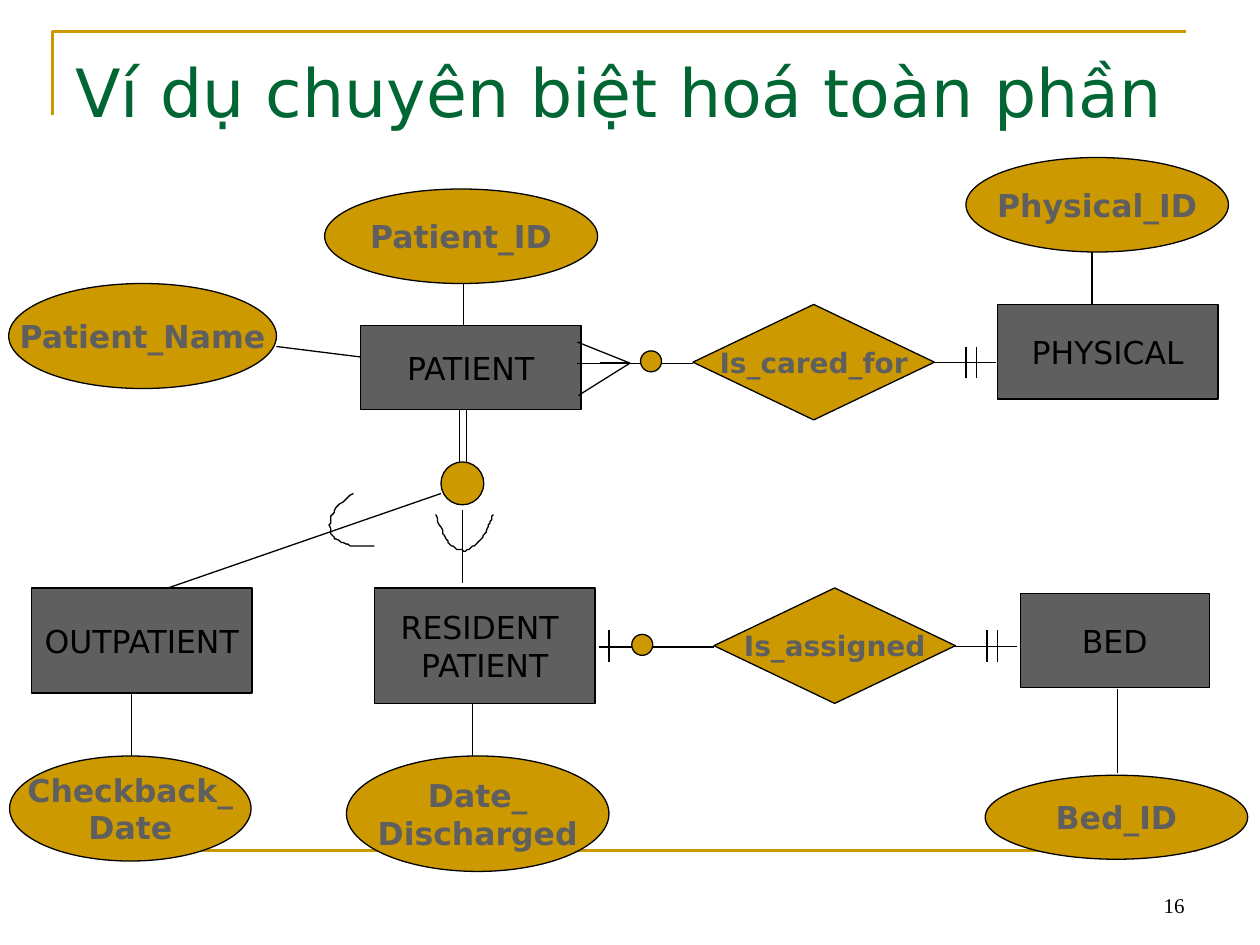
import pptx
import pptx.util
import pptx.dml.color
import pptx.enum.shapes
import pptx.enum.text
import pptx.oxml
import pptx.oxml.ns

Pt = pptx.util.Pt
SHAPES = pptx.enum.shapes.MSO_SHAPE
ALIGN = pptx.enum.text.PP_ALIGN
ANCHOR = pptx.enum.text.MSO_ANCHOR

GOLD, GRAY, BLACK, GREEN = "CC9900", "5F5F5F", "000000", "006633"
SANS, SERIF = "DejaVu Sans", "Times New Roman"

# Content: text, left, top, width, height
TITLE = ("Ví dụ chuyên biệt hoá toàn phần", 36, 21, 648, 62)
PAGE_NUMBER = ("16", 516, 492, 168, 36)
ENTITIES = [
    ("PATIENT", 206, 186, 126, 48),
    ("OUTPATIENT", 18, 336, 126, 60),
    ("RESIDENT \nPATIENT", 214, 336, 126, 66),
    ("BED", 583, 339, 108, 54),
    ("PHYSICAL", 570, 174, 126, 54),
]
ATTRIBUTES = [
    ("Patient_ID", 185.5, 108, 156, 54),
    ("Checkback_\nDate", 5.5, 432, 138, 60),
    ("Date_\nDischarged", 198, 432, 150, 66),
    ("Physical_ID", 552, 90, 150, 54),
    ("Patient_Name", 5, 162, 153, 60),
    ("Bed_ID", 563, 443, 150, 48),
]
RELATIONSHIPS = [
    ("Is_cared_for", 396, 174, 138, 66),
    ("Is_assigned", 408, 336, 138, 66),
]
CIRCLES = [(252, 264, 24.5), (366, 200.5, 12), (361, 362.5, 12)]

# Lines: x1, y1, x2, y2
ATTRIBUTE_LINES = [
    (265, 162, 265, 186), (158, 198, 206, 204), (75, 396, 75, 432),
    (270, 402, 270, 432), (624, 144, 624, 174), (638.5, 393.5, 638.5, 442),
]
SUBTYPE_LINES = [
    (262.5, 234, 262.5, 264), (266.5, 234, 266.5, 264),
    (252, 282, 96, 336), (264.5, 291.5, 264.5, 333),
]
RELATIONSHIP_LINES = [
    (330, 207.75, 396, 207.75), (533, 207, 569, 207),
    (342, 369.75, 408, 369.75), (545, 369.5, 581, 369.5),
]
CROW_FOOT = [(330, 195.5), (343, 207.5), (330.5, 226)]
CROW_TIP = (360, 207.5)
TICKS = [(552, 198), (558, 198), (564, 360), (570, 360), (348, 360)]
TICK_HEIGHT = 18

# Subtype arcs: a start point, then three points per cubic curve
ARCS = [
    [(201.5, 282), (196.5, 286), (191.5, 290), (190, 294),
     (188, 298), (188, 303), (190, 306), (191.5, 309), (198, 311),
     (201.5, 312), (206, 313), (211.5, 312), (213.5, 312)],
    [(249, 294.5), (251.5, 300), (253.5, 306.5), (256.5, 310),
     (259, 313), (263.5, 315), (267, 314.5), (270.5, 313), (275, 308.5),
     (277, 305), (279.5, 301.5), (280.5, 296), (281.5, 294)],
]
CORNER = [(30, 66), (30, 18), (678, 18)]
FOOTER_LINE = (36, 486, 684, 486)

deck = pptx.Presentation()
deck.slide_width, deck.slide_height = Pt(720), Pt(540)
page = deck.slides.add_slide(deck.slide_layouts[6])


def color(value):
    return pptx.dml.color.RGBColor.from_string(value)


def apply(target, values):
    for name, value in values.items():
        setattr(target, name, value)


def stroke(item, value=BLACK, width=0.75):
    item.line.color.rgb = color(value)
    item.line.width = Pt(width)


def write(box, text, size, value, font=SANS, bold=False,
          align=ALIGN.CENTER, anchor=ANCHOR.MIDDLE, wrap=False):
    frame = box.text_frame
    frame.text = text
    apply(frame, {"word_wrap": wrap, "vertical_anchor": anchor,
                  "margin_left": Pt(7.2), "margin_right": Pt(7.2),
                  "margin_top": Pt(3.6), "margin_bottom": Pt(3.6)})
    for para in frame.paragraphs:
        para.alignment = align
        for span in para.runs:
            apply(span.font, {"name": font, "size": Pt(size), "bold": bold})
            span.font.color.rgb = color(value)


def add_text(text, *place, **style):
    write(page.shapes.add_textbox(*map(Pt, place)), text, wrap=True, **style)


def add_node(kind, fill, *place):
    node = page.shapes.add_shape(kind, *map(Pt, place))
    node.shadow.inherit = False
    node.fill.solid()
    node.fill.fore_color.rgb = color(fill)
    stroke(node)
    return node


def add_line(*ends, **style):
    line = page.shapes.add_connector(
        pptx.enum.shapes.MSO_CONNECTOR.STRAIGHT, *map(Pt, ends))
    properties = line._element.spPr
    stroke(line, **style)
    properties.append(pptx.oxml.parse_xml(
        "<a:effectLst %s/>" % pptx.oxml.ns.nsdecls("a")))


def add_path(points, **style):
    builder = page.shapes.build_freeform(*points[0], scale=Pt(1))
    builder.add_line_segments(points[1:], close=False)
    outline = builder.convert_to_shape()
    outline.shadow.inherit = False
    outline.fill.background()
    stroke(outline, **style)


def trace_curve(points, steps=10):
    traced = [points[0]]
    for first in range(0, len(points) - 1, 3):
        control = points[first:first + 4]
        for step in range(1, steps + 1):
            t = step / steps
            weights = ((1 - t) ** 3, 3 * t * (1 - t) ** 2,
                       3 * t * t * (1 - t), t ** 3)
            traced.append(tuple(
                sum(w * point[axis] for w, point in zip(weights, control))
                for axis in (0, 1)))
    return traced


# Frame, title and page number
add_path(CORNER, value=GOLD, width=1.5)
add_line(*FOOTER_LINE, value=GOLD, width=1.5)
add_text(*PAGE_NUMBER, size=12, value=BLACK, font=SERIF,
         align=ALIGN.RIGHT, anchor=ANCHOR.BOTTOM)
add_text(*TITLE, size=38, value=GREEN, align=ALIGN.LEFT)

# Entities, attributes and relationships
for kind, fill, nodes, style in [
    (SHAPES.RECTANGLE, GRAY, ENTITIES, {"size": 18, "value": BLACK}),
    (SHAPES.OVAL, GOLD, ATTRIBUTES, {"size": 18, "value": GRAY, "bold": True}),
    (SHAPES.DIAMOND, GOLD, RELATIONSHIPS,
     {"size": 16, "value": GRAY, "bold": True}),
]:
    for text, *place in nodes:
        write(add_node(kind, fill, *place), text, **style)

# Connecting lines and cardinality marks
for ends in ATTRIBUTE_LINES + SUBTYPE_LINES + RELATIONSHIP_LINES:
    add_line(*ends)
for toe in CROW_FOOT:
    add_line(*CROW_TIP, *toe)
for x, y in TICKS:
    add_line(x, y, x, y + TICK_HEIGHT)
for arc in ARCS:
    add_path(trace_curve(arc))
for x, y, size in CIRCLES:
    add_node(SHAPES.OVAL, GOLD, x, y, size, size)

deck.save("out.pptx")
